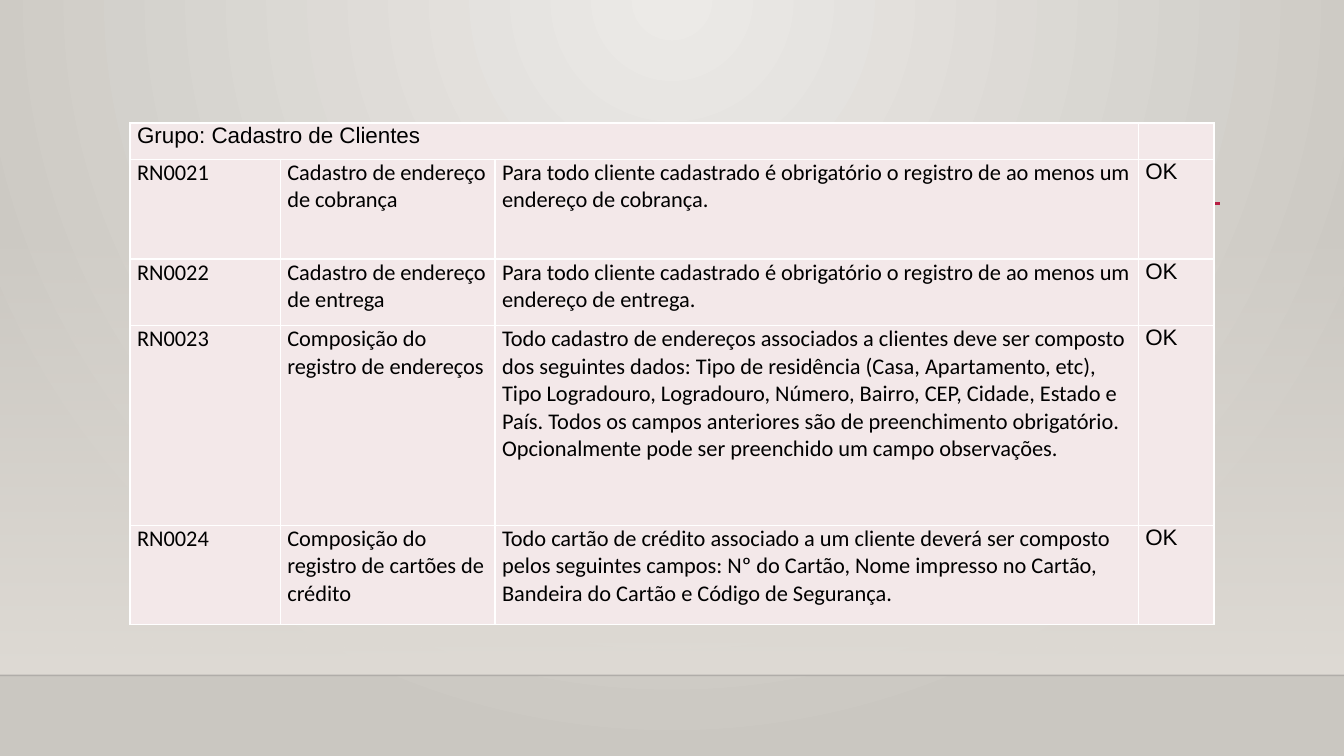
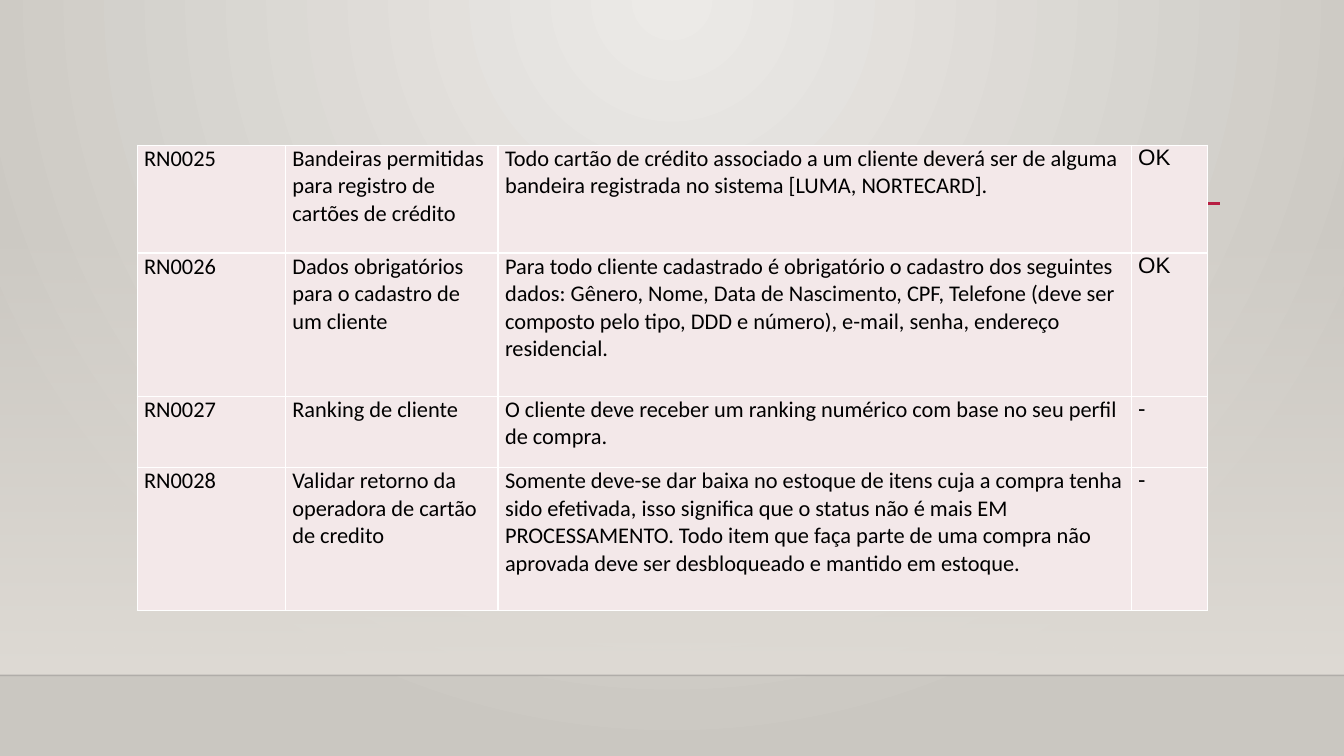
from lxml import etree
from pptx import Presentation
from pptx.dml.color import RGBColor
from pptx.enum.shapes import MSO_CONNECTOR, MSO_SHAPE
from pptx.oxml.ns import qn
from pptx.util import Inches, Pt

RECT, STRAIGHT = MSO_SHAPE.RECTANGLE, MSO_CONNECTOR.STRAIGHT

# Content: position, column widths, row heights and rows of each table
TABLES = [
    dict(
        left=1.29, top=1.22,
        cols=[1.49, 2.13, 6.38, 0.75],
        heights=[0.36, 0.99, 0.66, 1.98, 0.99],
        group="Grupo: Cadastro de Clientes",
        rows=[
            ("RN0021", "Cadastro de endereço de cobrança",
             "Para todo cliente cadastrado é obrigatório o registro de ao menos "
             "um endereço de cobrança.", "OK"),
            ("RN0022", "Cadastro de endereço de entrega",
             "Para todo cliente cadastrado é obrigatório o registro de ao menos "
             "um endereço de entrega.", "OK"),
            ("RN0023", "Composição do registro de endereços",
             "Todo cadastro de endereços associados a clientes deve ser composto "
             "dos seguintes dados: Tipo de residência (Casa, Apartamento, etc), "
             "Tipo Logradouro, Logradouro, Número, Bairro, CEP, Cidade, Estado e "
             "País. Todos os campos anteriores são de preenchimento obrigatório. "
             "Opcionalmente pode ser preenchido um campo observações.", "OK"),
            ("RN0024", "Composição do registro de cartões de crédito",
             "Todo cartão de crédito associado a um cliente deverá ser composto "
             "pelos seguintes campos: Nº do Cartão, Nome impresso no Cartão, "
             "Bandeira do Cartão e Código de Segurança.", "OK"),
        ],
    ),
    dict(
        left=1.36, top=1.44,
        cols=[1.47, 2.11, 6.28, 0.76],
        heights=[1.07, 1.42, 0.71, 1.42],
        group=None,
        rows=[
            ("RN0025", "Bandeiras permitidas para registro de cartões de crédito",
             "Todo cartão de crédito associado a um cliente deverá ser de alguma "
             "bandeira registrada no sistema [LUMA, NORTECARD].", "OK"),
            ("RN0026", "Dados obrigatórios para o cadastro de um cliente",
             "Para todo cliente cadastrado é obrigatório o cadastro dos seguintes "
             "dados: Gênero, Nome, Data de Nascimento, CPF, Telefone (deve ser "
             "composto pelo tipo, DDD e número), e-mail, senha, endereço "
             "residencial.", "OK"),
            ("RN0027", "Ranking de cliente",
             "O cliente deve receber um ranking numérico com base no seu perfil "
             "de compra.", "-"),
            ("RN0028", "Validar retorno da operadora de cartão de credito",
             "Somente deve-se dar baixa no estoque de itens cuja a compra tenha "
             "sido efetivada, isso significa que o status não é mais EM "
             "PROCESSAMENTO. Todo item que faça parte de uma compra não "
             "aprovada deve ser desbloqueado e mantido em estoque.", "-"),
        ],
    ),
]

# Shared style
WIDTH, HEIGHT = 13.33, 7.5
FLOOR_Y = 6.7
GLOW, EDGE, WALL = "ECEAE7", "CAC7C1", "DFDBD5"
FLOOR_LINE, ACCENT = "000001", "B71E42"
CELL_FILL, BORDER, TEXT = "F3E8E9", "FFFFFF", "000000"
BODY_FONT, STATUS_FONT = "Calibri", "Arial"


def rgb(value):
    return RGBColor.from_string(value)


def add_child(parent, tag, **attrs):
    return etree.SubElement(parent, qn(tag), {k: str(v) for k, v in attrs.items()})


def set_alpha(color, percent):
    add_child(color, "a:alpha", val=percent * 1000)


def set_gradient(fill, start, end):
    fill.gradient()
    for stop, color, position in zip(fill.gradient_stops, (start, end), (0, 1)):
        stop.color.rgb = rgb(color)
        stop.position = position


def set_background(master):
    set_gradient(master.background.fill, GLOW, EDGE)
    grad = master._element.find(".//" + qn("a:gradFill"))
    grad.remove(grad.find(qn("a:lin")))
    circle = add_child(grad, "a:path", path="circle")
    add_child(circle, "a:fillToRect", l=43000, t=0, r=43000, b=100000)


def add_line(s, x1, x2, y, color, width, alpha=None):
    line = s.shapes.add_connector(STRAIGHT, Inches(x1), Inches(y), Inches(x2), Inches(y))
    line.line.color.rgb = rgb(color)
    line.line.width = Pt(width)
    if alpha is not None:
        set_alpha(line._element.find(".//" + qn("a:srgbClr")), alpha)
    add_child(line._element.spPr, "a:effectLst")


def add_decor(s):
    wall_top = 2.21
    sp = s.shapes.add_shape(RECT, 0, Inches(wall_top), Inches(WIDTH), Inches(FLOOR_Y - wall_top))
    sp.shadow.inherit = False
    sp.line.fill.background()
    set_gradient(sp.fill, WALL, WALL)
    sp.fill.gradient_angle = 270
    set_alpha(sp._element.find(".//" + qn("a:srgbClr")), 0)
    add_line(s, 0, WIDTH, FLOOR_Y, FLOOR_LINE, 1, alpha=20)
    add_line(s, 1.59, 12.1, 2.02, ACCENT, 2.5)


def style_cell(cell):
    cell.margin_left = cell.margin_right = Inches(0.07)
    cell.margin_top = cell.margin_bottom = 0
    cell.fill.solid()
    cell.fill.fore_color.rgb = rgb(CELL_FILL)
    tc_pr = cell._tc.get_or_add_tcPr()
    for i, side in enumerate(("a:lnL", "a:lnR", "a:lnT", "a:lnB")):
        ln = add_child(tc_pr, side, w=Pt(1))
        add_child(add_child(ln, "a:solidFill"), "a:srgbClr", val=BORDER)
        tc_pr.insert(i, ln)


def write(cell, text, font=BODY_FONT, size=16, color=TEXT):
    r = cell.text_frame.paragraphs[0].add_run()
    r.text = text
    r.font.name = font
    r.font.size = Pt(size)
    r.font.color.rgb = rgb(color)


def add_rules_table(s, left, top, cols, heights, group, rows):
    frame = s.shapes.add_table(len(heights), len(cols), Inches(left), Inches(top),
                               Inches(sum(cols)), Inches(sum(heights)))
    table = frame.table
    table.first_row = table.horz_banding = False
    for column, width in zip(table.columns, cols):
        column.width = Inches(width)
    for row, height in zip(table.rows, heights):
        row.height = Inches(height)
    for cell in table.iter_cells():
        style_cell(cell)

    # Group heading spans all but the status column
    if group:
        table.cell(0, 0).merge(table.cell(0, len(cols) - 2))
        write(table.cell(0, 0), group, font=STATUS_FONT)
    first = 1 if group else 0
    for i, row in enumerate(rows, first):
        for j, text in enumerate(row):
            status = j == len(cols) - 1
            write(table.cell(i, j), text, font=STATUS_FONT if status else BODY_FONT)


# Build the slides
prs = Presentation()
prs.slide_width, prs.slide_height = Inches(WIDTH), Inches(HEIGHT)
set_background(prs.slide_master)
for content in TABLES:
    s = prs.slides.add_slide(prs.slide_layouts[6])
    add_decor(s)
    add_rules_table(s, **content)
prs.save("out.pptx")
